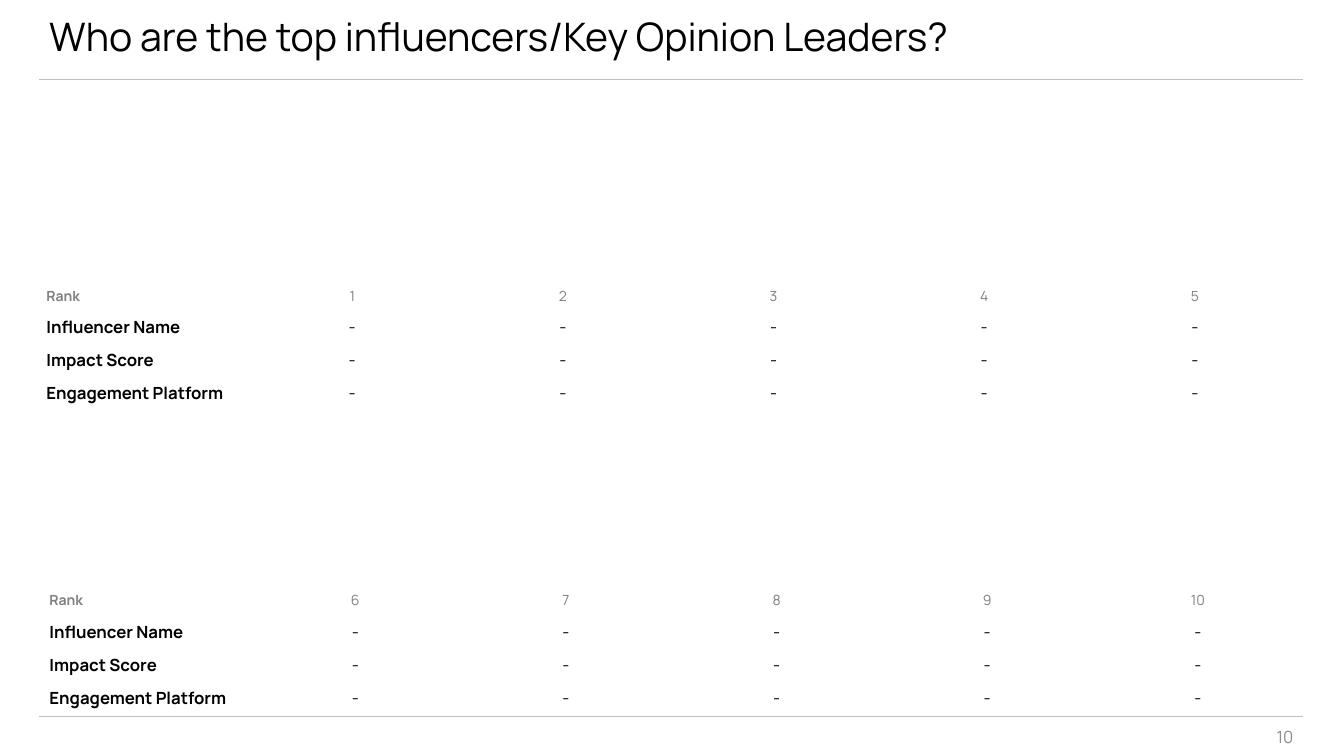
from lxml import etree
from pptx import Presentation
from pptx import util as u
from pptx.dml.color import RGBColor
from pptx.enum import shapes, text
from pptx.oxml import ns

FIELDS = ["Influencer Name", "Impact Score", "Engagement Platform"]
LEFT, WIDTH = 28.08, 902.88


def color(value):
    return RGBColor.from_string(value)


class SlideBuilder:
    """Draws ranking slide elements in one shared style."""

    font = "Manrope"
    black, gray, rule_gray = "000000", "808080", "BFBFBF"

    def __init__(self, slide):
        self.slide = slide

    def format(self, paragraph, size, fill, bold=False, align=text.PP_ALIGN.LEFT):
        paragraph.alignment = align
        for run in paragraph.runs:
            run.font.name = self.font
            run.font.size = u.Pt(size)
            run.font.bold = bold
            run.font.color.rgb = color(fill)

    def rule(self, top):
        line = self.slide.shapes.add_connector(
            shapes.MSO_CONNECTOR.STRAIGHT,
            u.Pt(LEFT), u.Pt(top), u.Pt(LEFT + WIDTH), u.Pt(top))
        line.line.color.rgb = color(self.rule_gray)
        line.line.width = u.Pt(0.25)
        etree.SubElement(line._element.spPr, ns.qn("a:effectLst"))

    def label(self, wording, left, top, width, height, size, fill,
              align=text.PP_ALIGN.LEFT, anchor=text.MSO_ANCHOR.TOP):
        box = self.slide.shapes.add_textbox(
            u.Pt(left), u.Pt(top), u.Pt(width), u.Pt(height))
        frame = box.text_frame
        frame.word_wrap = True
        frame.vertical_anchor = anchor
        frame.text = wording
        paragraph = frame.paragraphs[0]
        self.format(paragraph, size, fill, align=align)
        return paragraph

    def ranking(self, ranks, left, top):
        rows = [["Rank", *map(str, ranks)]]
        rows += [[field] + ["-"] * len(ranks) for field in FIELDS]
        heights = [21] + [23.6] * len(FIELDS)
        frame = self.slide.shapes.add_table(
            len(rows), len(rows[0]), u.Pt(left), u.Pt(top),
            u.Pt(WIDTH), u.Pt(sum(heights)))
        table = frame.table
        table.first_row = table.horz_banding = False
        for column in table.columns:
            column.width = u.Pt(WIDTH / len(rows[0]))
        for i, (values, height) in enumerate(zip(rows, heights)):
            table.rows[i].height = u.Pt(height)
            size, fill = (12, self.black) if i else (10, self.gray)
            for j, value in enumerate(values):
                cell = table.cell(i, j)
                cell.fill.background()
                cell.vertical_anchor = text.MSO_ANCHOR.MIDDLE
                cell.text_frame.text = value
                align = text.PP_ALIGN.CENTER if j else text.PP_ALIGN.LEFT
                self.format(cell.text_frame.paragraphs[0], size, fill, j == 0, align)


def main():
    presentation = Presentation()
    presentation.slide_width = u.Pt(960)
    presentation.slide_height = u.Pt(540)
    builder = SlideBuilder(
        presentation.slides.add_slide(presentation.slide_layouts[6]))

    for top in (56.4, 511.9):
        builder.rule(top)
    builder.label("10", 871.9, 519.1, 59.06, 14.4, 12, "8C8C8C",
                  text.PP_ALIGN.RIGHT, text.MSO_ANCHOR.MIDDLE)
    title = builder.label("Who are the top influencers/Key Opinion Leaders?",
                          LEFT, 9.36, WIDTH, 39.6, 28, builder.black)
    title.line_spacing = 0.9
    title.space_before = u.Pt(10)
    builder.ranking(range(1, 6), 25.92, 200.9)
    builder.ranking(range(6, 11), LEFT, 418.3)
    presentation.save("out.pptx")


if __name__ == "__main__":
    main()
